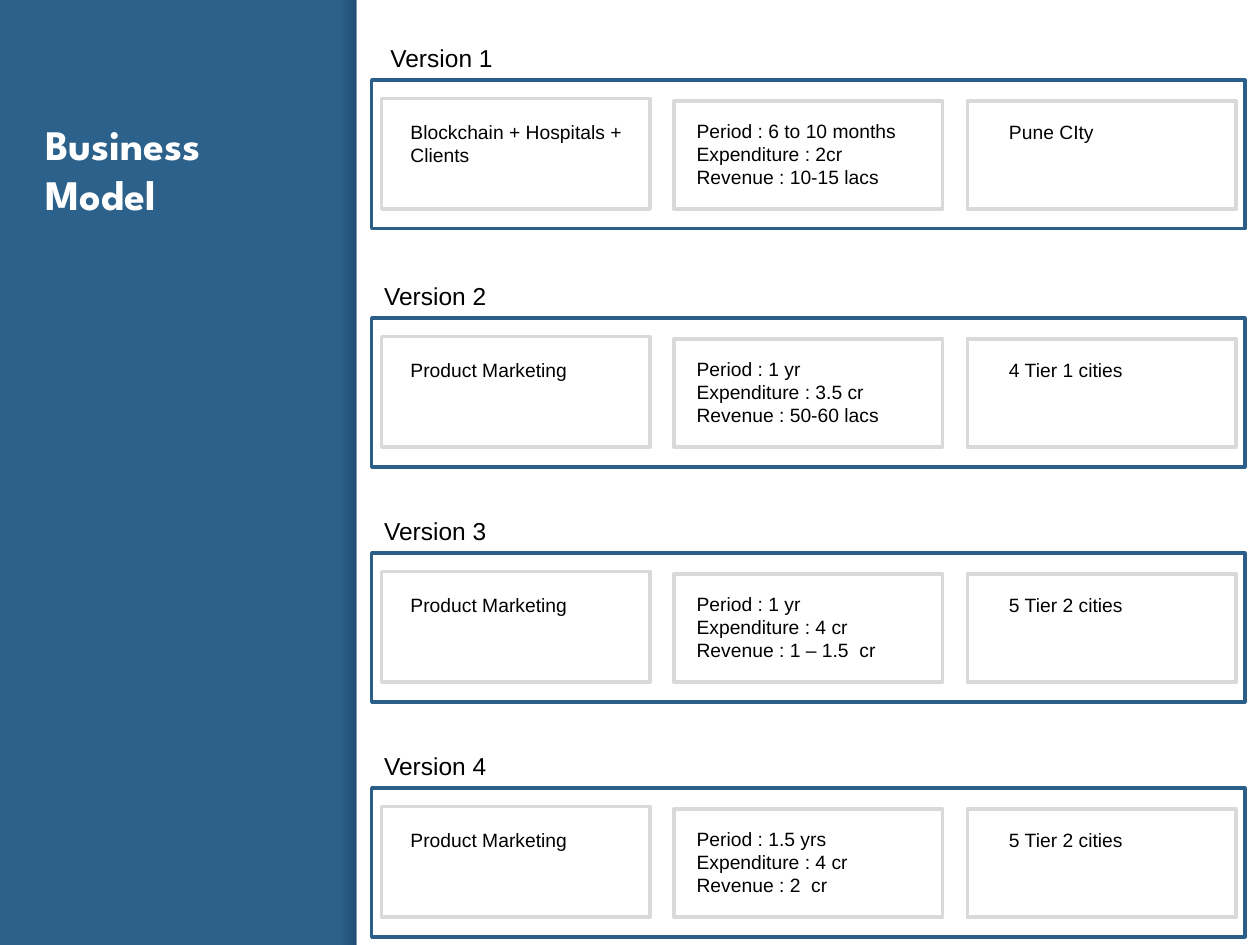
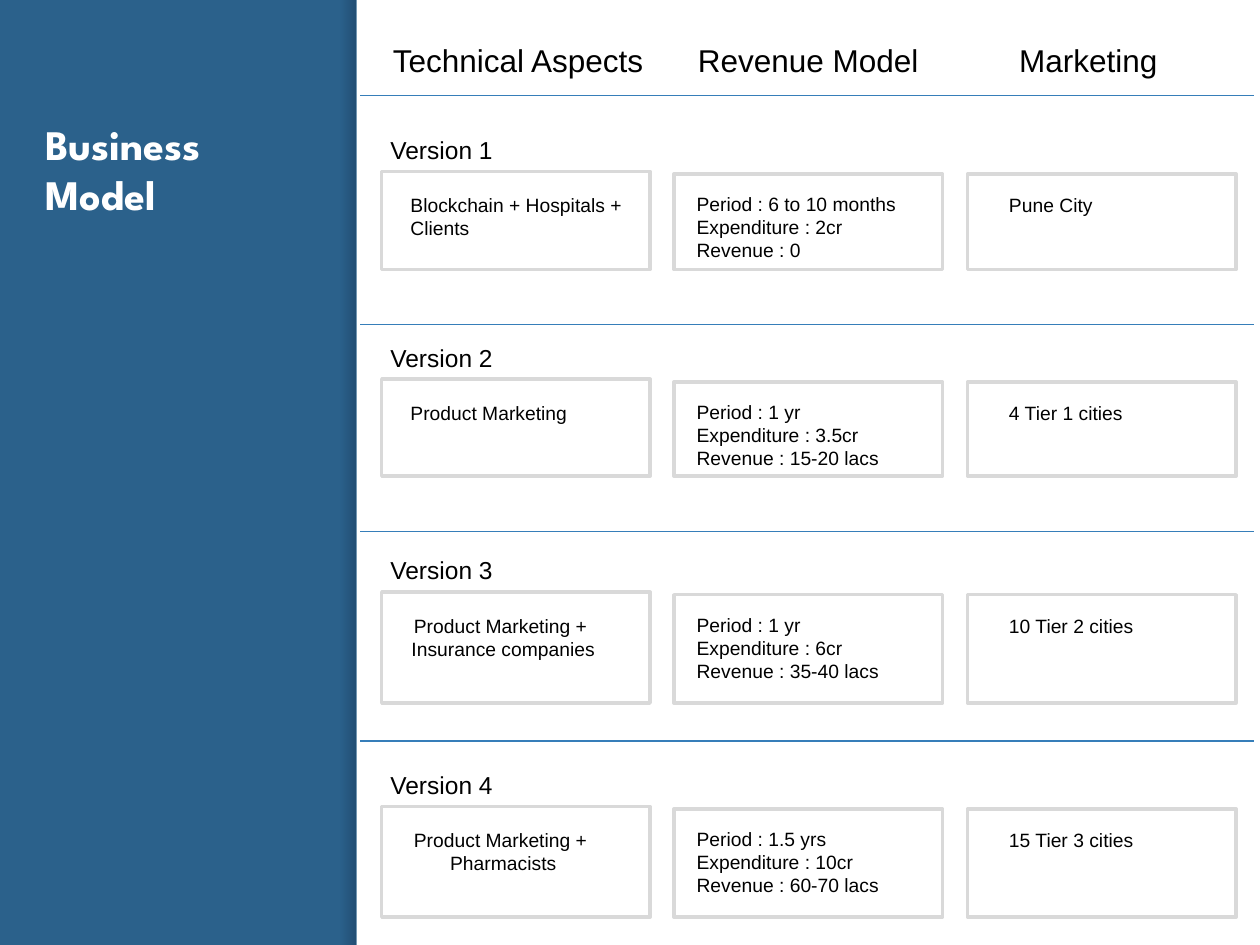
from lxml import etree
from pptx import Presentation
from pptx import util as u
from pptx.dml import color
from pptx.enum import shapes, text
from pptx.oxml import ns

COLORS = {
    "panel": "2B618B", "frame": "2B5F8A", "card": "D9D9D9", "rule": "367EB9",
    "shade": "000014", "white": "FFFFFF", "ink": "000000",
}
RGB = {name: color.RGBColor.from_string(value) for name, value in COLORS.items()}

deck = Presentation()
deck.slide_width, deck.slide_height = u.Inches(10), u.Inches(7.5)
COLUMN = deck.slide_width / 100
ROW = deck.slide_height / 75


def add_box(page, left, top, width, height, line=None):
    box = page.shapes.add_shape(
        shapes.MSO_SHAPE.RECTANGLE, int(left * COLUMN), int(top * ROW),
        int(width * COLUMN), int(height * ROW))
    box.shadow.inherit = False
    box.fill.background()
    if line:
        box.line.color.rgb = RGB[line]
        box.line.width = u.Pt(2)
    else:
        box.line.fill.background()
    return box


def write(page, words, left, top, width, height, size=11, centered=False):
    box = page.shapes.add_textbox(
        int(left * COLUMN), int(top * ROW), int(width * COLUMN), int(height * ROW))
    frame = box.text_frame
    frame.word_wrap = not centered
    frame.text = words
    for para in frame.paragraphs:
        para.alignment = text.PP_ALIGN.CENTER if centered else text.PP_ALIGN.LEFT
        para.font.name = "Arial"
        para.font.size = u.Pt(size)
        para.font.color.rgb = RGB["ink"]


PAGES = [
    {"framed": True, "headings": [], "rules": [], "rows": [
        (7.8, 8.8, "Blockchain + Hospitals +\nClients",
         ("6 to 10 months", "2cr", "10-15 lacs"), "Pune CIty"),
        (26.7, 8.8, "Product Marketing", ("1 yr", "3.5 cr", "50-60 lacs"), "4 Tier 1 cities"),
        (45.35, 8.8, "Product Marketing", ("1 yr", "4 cr", "1 – 1.5  cr"), "5 Tier 2 cities"),
        (64, 8.8, "Product Marketing", ("1.5 yrs", "4 cr", "2  cr"), "5 Tier 2 cities"),
    ]},
    {"framed": False,
     "headings": [("Technical Aspects", 30.2, 22.1), ("Revenue Model", 54.4, 19.7),
                  ("Marketing", 79.9, 13.1)],
     "rules": [(7.6, 0.75), (25.7, 0.25), (42.2, 0.75), (58.8, 0.75)],
     "rows": [
        (13.6, 7.8, "Blockchain + Hospitals +\nClients",
         ("6 to 10 months", "2cr", "0"), "Pune City"),
        (30.1, 7.7, "Product Marketing", ("1 yr", "3.5cr", "15-20 lacs"), "4 Tier 1 cities"),
        (47, 8.8, "Product Marketing + \nInsurance companies",
         ("1 yr", "6cr", "35-40 lacs"), "10 Tier 2 cities"),
        (64, 8.8, "Product Marketing + \nPharmacists",
         ("1.5 yrs", "10cr", "60-70 lacs"), "15 Tier 3 cities"),
    ]},
]

title_only = deck.slide_layouts[5]
pages = [deck.slides.add_slide(title_only) for content in PAGES]

master = deck.slide_master
master.background.fill.solid()
master.background.fill.fore_color.rgb = RGB["panel"]

shade = add_box(pages[0], 27, 0, 1.2, 75)
shade.fill.gradient()
shade.fill.gradient_angle = 0
for stop in shade.fill.gradient_stops:
    stop.color.rgb = RGB["shade"]
for tone, alpha in zip(shade._element.spPr.iter(ns.qn("a:srgbClr")), (0, 20000)):
    etree.SubElement(tone, ns.qn("a:alpha")).set("val", str(alpha))

sheet = add_box(pages[0], 28.3, 0, 71.7, 75)
sheet.fill.solid()
sheet.fill.fore_color.rgb = RGB["white"]

for position, box in enumerate((shade, sheet), 2):
    master.shapes._spTree.insert(position, box._element)

for page, content in zip(pages, PAGES):
    title = page.shapes.title
    title.left, title.top = int(2.6 * COLUMN), int(8.4 * ROW)
    title.width, title.height = int(22.4 * COLUMN), int(8.5 * ROW)
    frame = title.text_frame
    frame.text = "Business Model"
    frame.word_wrap = True
    frame.auto_size = text.MSO_AUTO_SIZE.NONE
    frame.vertical_anchor = text.MSO_ANCHOR.TOP
    frame.margin_left = frame.margin_right = u.Inches(0.1)
    frame.margin_top = frame.margin_bottom = u.Inches(0.1)
    para = frame.paragraphs[0]
    para.alignment = text.PP_ALIGN.LEFT
    span = para.runs[0]
    span.font.name = "League Spartan"
    span.font.size = u.Pt(24)
    span.font.bold = True
    span.font.color.rgb = RGB["white"]

    for words, left, width in content["headings"]:
        write(page, words, left, 2.8, width, 4, size=18)

    for top, weight in content["rules"]:
        rule = page.shapes.add_connector(
            shapes.MSO_CONNECTOR.STRAIGHT, int(28.6 * COLUMN), int(top * ROW),
            int(99.5 * COLUMN), int(top * ROW))
        rule.line.color.rgb = RGB["rule"]
        rule.line.width = u.Pt(weight)
        etree.SubElement(rule._element.spPr, ns.qn("a:effectLst"))

    for number, (top, height, technical, money, market) in enumerate(content["rows"], 1):
        if content["framed"]:
            add_box(page, 29.5, top - 1.45, 69.3, 11.8, line="frame")
        add_box(page, 30.3, top, 21.3, height, line="card")
        for left in (53.5, 76.8):
            add_box(page, left, top + 0.2, 21.3, height - 0.2, line="card")

        label_left = 29.5 if content["framed"] and number > 1 else 30
        write(page, f"Version {number}", label_left, top - 3.4 - 1.45 * content["framed"],
              12, 3.4, size=14)
        centered = "Marketing +" in technical
        write(page, technical, 31.6, top + 1.25, 16.7 if centered else 19.3,
              4.7 if "\n" in technical else 2.9, centered=centered)
        names = ("Period", "Expenditure", "Revenue")
        lines = [f"{name} : {value}" for name, value in zip(names, money)]
        write(page, "\n".join(lines), 54.3, top + 1.15, 18.5, 6.6)
        write(page, market, 79.1, top + 1.25, 13, 2.9)

deck.save("out.pptx")
